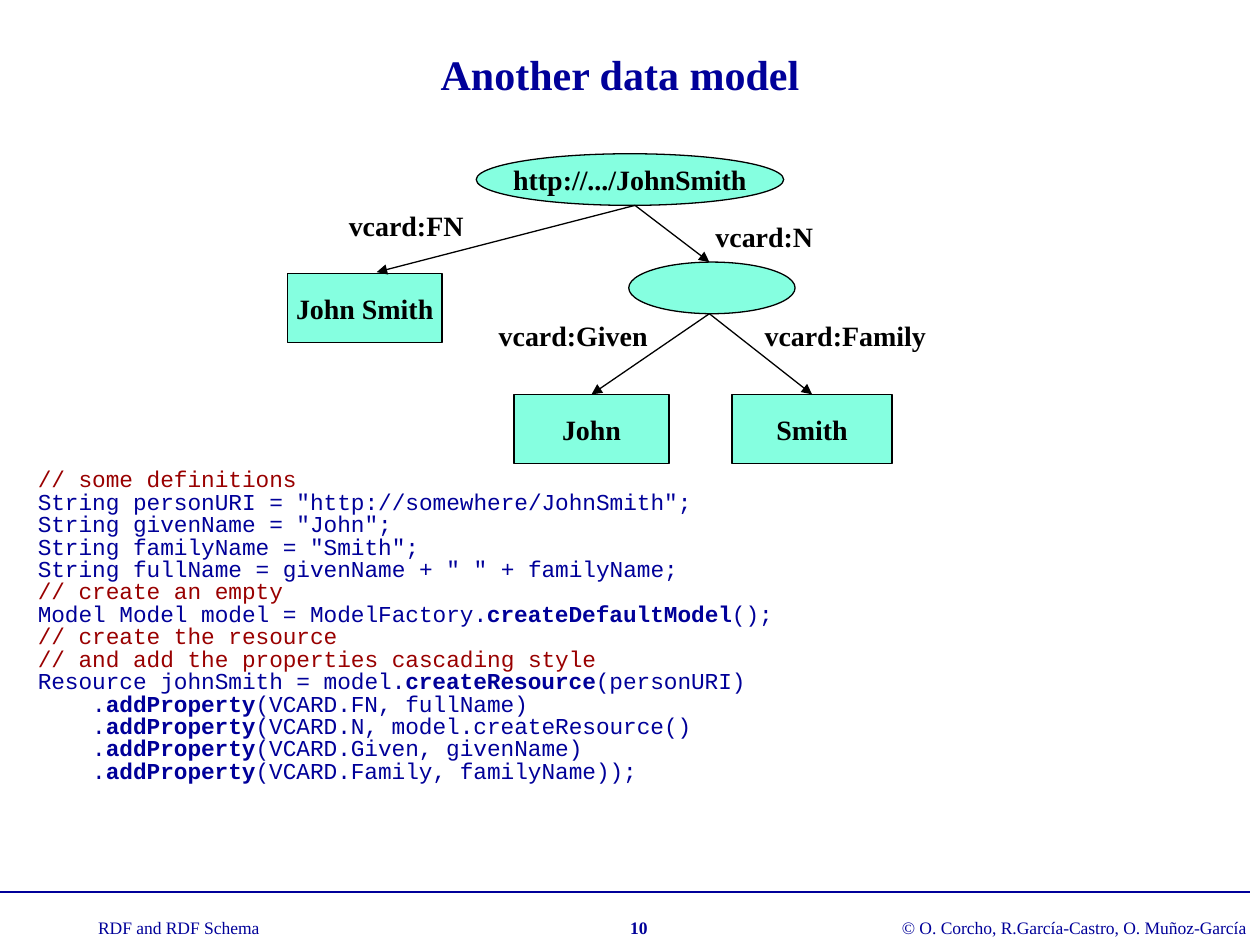
from lxml import etree
from pptx import Presentation
from pptx.dml.color import RGBColor
from pptx.enum import shapes, text
from pptx.oxml import ns
from pptx.util import Inches, Pt

NAVY, RED, BLACK, MINT = "000099", "990000", "000000", "85FFE0"
SERIF, MONO = "Times New Roman", "Courier New"
LEFT, CENTER = text.PP_ALIGN.LEFT, text.PP_ALIGN.CENTER
OVAL, BOX = shapes.MSO_SHAPE.OVAL, shapes.MSO_SHAPE.RECTANGLE

LABEL = {"size": Pt(16), "name": SERIF, "bold": True}
TITLE = {"size": Pt(24), "name": SERIF, "bold": True}
FOOTER = {"size": Pt(10), "name": SERIF, "bold": False}
CODE = {"size": Pt(13), "name": MONO, "bold": False}

# Bold parts stand between double asterisks.
CODE_LINES = """\
// some definitions
String personURI = "http://somewhere/JohnSmith";
String givenName = "John";
String familyName = "Smith";
String fullName = givenName + " " + familyName;
// create an empty
Model Model model = ModelFactory.**createDefaultModel**();
// create the resource
// and add the properties cascading style
Resource johnSmith = model.**createResource**(personURI)
    .**addProperty**(VCARD.FN, fullName)
    .**addProperty**(VCARD.N, model.createResource()
    .**addProperty**(VCARD.Given, givenName)
    .**addProperty**(VCARD.Family, familyName));""".splitlines()


def rgb(hex_color):
    return RGBColor.from_string(hex_color)


def apply_format(target, values):
    for name, value in values.items():
        setattr(target, name, value)


def add_run(paragraph, words, font_format, color):
    run = paragraph.add_run()
    run.text = words
    apply_format(run.font, font_format)
    run.font.color.rgb = rgb(color)


def place(shape, left, top, width, height):
    apply_format(shape, {"left": Inches(left), "top": Inches(top),
                         "width": Inches(width), "height": Inches(height)})


def fill_title(title, words):
    place(title, 0.67, 0.17, 8.5, 0.83)
    apply_format(title.text_frame, {
        "vertical_anchor": text.MSO_ANCHOR.MIDDLE,
        "auto_size": text.MSO_AUTO_SIZE.NONE})
    paragraph = title.text_frame.paragraphs[0]
    paragraph.alignment = CENTER
    add_run(paragraph, words, TITLE, NAVY)


def fill_code(body, lines):
    place(body, 0.2, 3.71, 9.53, 2.71)
    frame = body.text_frame
    apply_format(frame, {"auto_size": text.MSO_AUTO_SIZE.NONE,
                         "margin_top": Inches(0.02)})
    for index, line in enumerate(lines):
        paragraph = frame.add_paragraph() if index else frame.paragraphs[0]
        properties = paragraph._p.get_or_add_pPr()
        properties.set("marL", str(Inches(0.38)))
        properties.set("indent", str(-Inches(0.38)))
        apply_format(paragraph, {"line_spacing": Pt(12.8), "space_before": Pt(0)})
        etree.SubElement(properties, ns.qn("a:buNone"))
        color = RED if line.startswith("//") else NAVY
        for part, words in enumerate(line.split("**")):
            add_run(paragraph, words, CODE | {"bold": part % 2 == 1}, color)


def add_label(slide, words, bounds, font_format=LABEL, color=BLACK, alignment=LEFT):
    box = slide.shapes.add_textbox(*map(Inches, bounds))
    apply_format(box.text_frame, {
        "word_wrap": False, "auto_size": text.MSO_AUTO_SIZE.SHAPE_TO_FIT_TEXT})
    paragraph = box.text_frame.paragraphs[0]
    paragraph.alignment = alignment
    add_run(paragraph, words, font_format, color)


def add_node(slide, kind, words, bounds):
    node = slide.shapes.add_shape(kind, *map(Inches, bounds))
    node.shadow.inherit = False
    node.fill.solid()
    node.fill.fore_color.rgb = rgb(MINT)
    node.line.color.rgb = rgb(BLACK)
    node.line.width = Pt(0.75)
    if words:
        apply_format(node.text_frame, {
            "word_wrap": False, "vertical_anchor": text.MSO_ANCHOR.MIDDLE})
        paragraph = node.text_frame.paragraphs[0]
        paragraph.alignment = CENTER
        add_run(paragraph, words, LABEL, BLACK)
    return node


def add_line(slide, start, end, color=BLACK, width=0.75):
    line = slide.shapes.add_connector(
        shapes.MSO_CONNECTOR.STRAIGHT, *map(Inches, start + end))
    line.line.color.rgb = rgb(color)
    line.line.width = Pt(width)
    etree.SubElement(line._element.spPr, ns.qn("a:effectLst"))
    return line


def add_arrow(slide, start, end, target=None):
    """Draw an arrow, joined to the top of target if one is given."""
    arrow = add_line(slide, start, end)
    etree.SubElement(arrow.line._get_or_add_ln(), ns.qn("a:tailEnd"), type="triangle")
    if target is not None:
        arrow.end_connect(target, 0)


def add_footer(slide):
    add_line(slide, (0, 7.08), (9.92, 7.08), NAVY, 1)
    add_label(slide, "RDF and RDF Schema", (0.68, 7.23, 1.48, 0.27), FOOTER, NAVY)
    add_label(slide, "10", (4.66, 7.23, 0.82, 0.27),
              FOOTER | {"bold": True}, NAVY, CENTER)
    add_label(slide, "© O. Corcho, R.García-Castro, O. Muñoz-García",
              (7.06, 7.23, 2.94, 0.27), FOOTER, NAVY)


def add_graph(slide):
    add_node(slide, OVAL, "http://.../JohnSmith", (3.78, 1.22, 2.44, 0.41))
    add_node(slide, OVAL, "", (4.99, 2.08, 1.32, 0.41))
    add_node(slide, BOX, "John Smith", (2.28, 2.17, 1.23, 0.55))
    family = add_node(slide, BOX, "Smith", (5.81, 3.13, 1.27, 0.55))
    given = add_node(slide, BOX, "John", (4.08, 3.13, 1.23, 0.55))

    resource, name = (5.04, 1.63), (5.63, 2.49)
    add_arrow(slide, resource, (2.99, 2.16))
    add_arrow(slide, resource, (5.63, 2.08))
    add_arrow(slide, name, (4.67, 3.13), given)
    add_arrow(slide, name, (6.44, 3.13), family)

    for words, left, top, width in (
            ("vcard:Given", 3.86, 2.48, 1.4), ("vcard:Family", 5.97, 2.48, 1.5),
            ("vcard:FN", 2.67, 1.61, 1.13), ("vcard:N", 5.58, 1.69, 1.02)):
        add_label(slide, words, (left, top, width, 0.37))


def main():
    presentation = Presentation()
    apply_format(presentation, {"slide_width": Inches(10), "slide_height": Inches(7.5)})
    slide = presentation.slides.add_slide(presentation.slide_layouts[1])
    title, body = slide.placeholders
    add_footer(slide)
    fill_title(title, "Another data model")
    add_graph(slide)
    fill_code(body, CODE_LINES)
    presentation.save("out.pptx")


if __name__ == "__main__":
    main()
